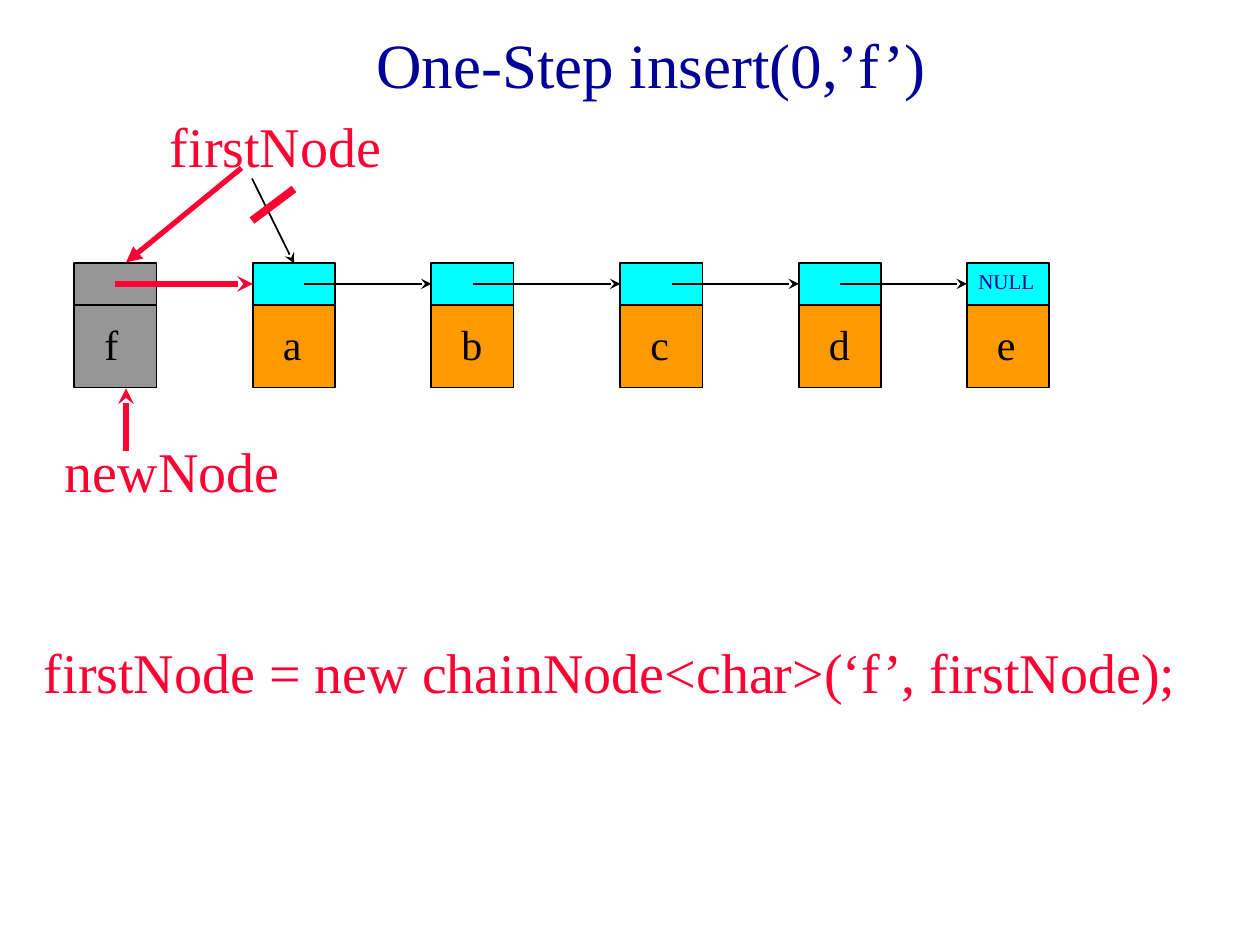
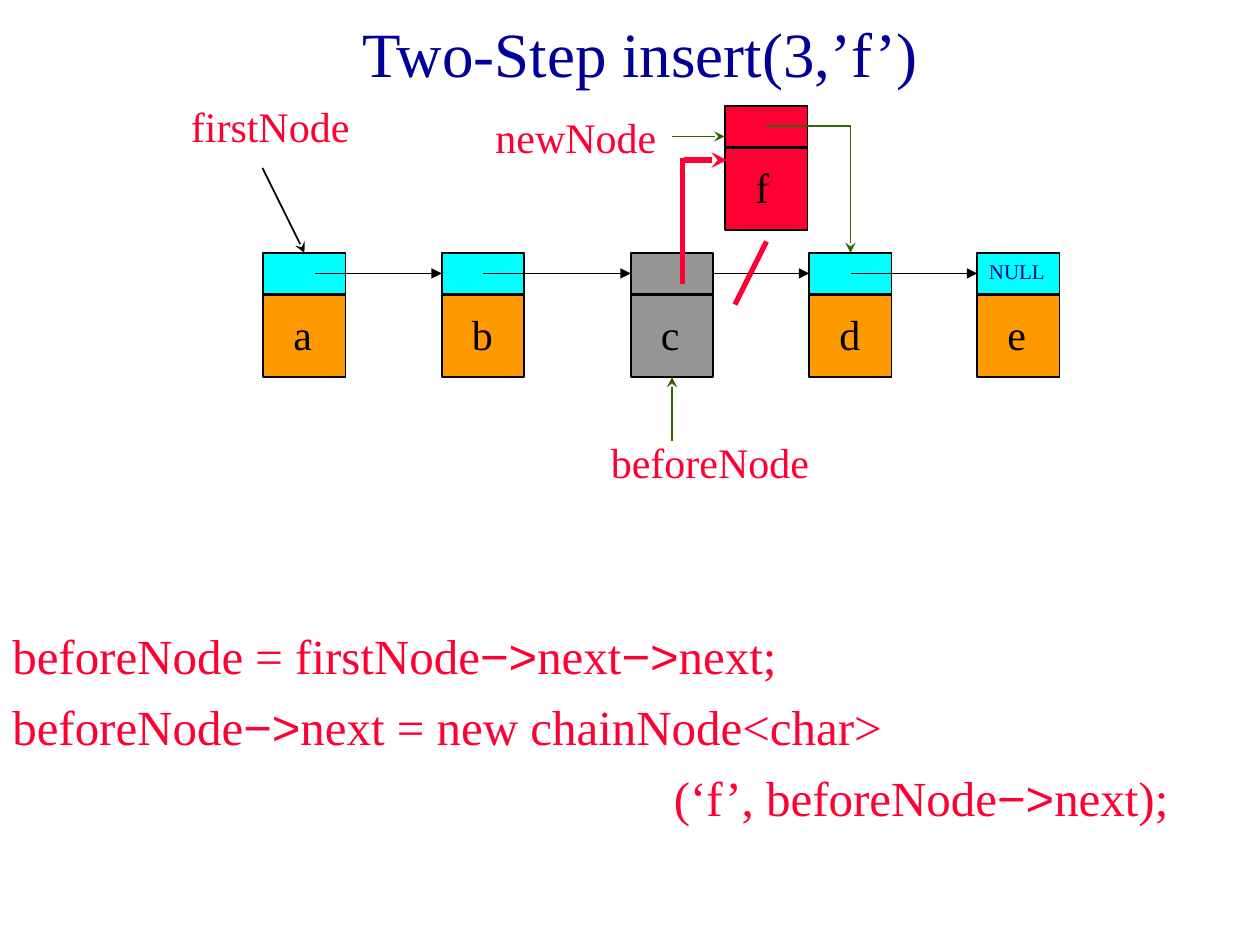
from typing import NamedTuple, Optional, Union

from lxml.etree import SubElement
from pptx import Presentation
from pptx.dml.color import RGBColor
from pptx.enum.shapes import MSO_CONNECTOR as CXN, MSO_SHAPE as SHAPE
from pptx.enum.text import MSO_ANCHOR as ANCHOR, PP_ALIGN as ALIGN
from pptx.oxml.ns import qn
from pptx.shapes.autoshape import Shape
from pptx.slide import Slide
from pptx.util import Pt

NAVY, RED, GREEN, BLACK = "000099", "FF0033", "336600", "000000"
CYAN, ORANGE, GRAY = "00FFFF", "FF9900", "969696"
SERIF, SANS = "Times New Roman", "Arial"
ARROW = "−>"
TOP, LEFT, BOTTOM, RIGHT = range(4)
SIDE, LINK_H, DATA_DY = 47, 23.5, 24
CHAIN_DX = {"a": 0, "b": 102, "c": 210, "d": 312, "e": 408}
LINK_START_DX = {"f": 23.5, "a": 29.5, "b": 23.5, "c": 29.5, "d": 23.5}


class Point(NamedTuple):
    x: float
    y: float


class Site(NamedTuple):
    shape: Shape
    side: int


class Node(NamedTuple):
    name: str
    x: float
    y: float
    link: Shape
    data: Shape

    def link_start(self) -> Point:
        return Point(self.x + LINK_START_DX[self.name], self.y + LINK_H / 2)


End = Union[Point, Site]


def rgb(color: str) -> RGBColor:
    return RGBColor.from_string(color)


def add_text(s: Slide, text: str, x: float, y: float, w: float, h: float, *,
             size: float = 24, color: str = RED, align: ALIGN = ALIGN.LEFT,
             anchor: ANCHOR = ANCHOR.TOP, before: float = 0,
             last_indent: float = 0) -> None:
    tf = s.shapes.add_textbox(Pt(x), Pt(y), Pt(w), Pt(h)).text_frame
    tf.word_wrap = True
    tf.vertical_anchor = anchor
    for i, row in enumerate(text.split("\n")):
        p = tf.paragraphs[0] if i == 0 else tf.add_paragraph()
        p.alignment = align
        p.space_before = Pt(before if i else 0)
        for j, part in enumerate(row.split(ARROW)):
            for piece, font in ((ARROW, SANS), (part, SERIF))[0 if j else 1:]:
                r = p.add_run()
                r.text = piece
                r.font.name = font
                r.font.size = Pt(size)
                r.font.color.rgb = rgb(color)
    if last_indent:
        p._p.get_or_add_pPr().set("marL", str(Pt(last_indent)))


def add_title(s: Slide, text: str, x: float, h: float) -> None:
    add_text(s, text, x, 0, 612, h, size=36, color=NAVY,
             align=ALIGN.CENTER, anchor=ANCHOR.MIDDLE)


def add_box(s: Slide, x: float, y: float, h: float, fill: str) -> Shape:
    sp = s.shapes.add_shape(SHAPE.RECTANGLE, Pt(x), Pt(y), Pt(SIDE), Pt(h))
    sp.shadow.inherit = False
    sp.fill.solid()
    sp.fill.fore_color.rgb = rgb(fill)
    sp.line.color.rgb = rgb(BLACK)
    sp.line.width = Pt(1)
    return sp


def add_node(s: Slide, name: str, x: float, y: float,
             data_fill: str = ORANGE, link_fill: str = CYAN) -> Node:
    data = add_box(s, x, y + DATA_DY, SIDE, data_fill)
    link = add_box(s, x, y, LINK_H, link_fill)
    add_text(s, name, x + 10, y + 28, 27, 36, color=BLACK)
    return Node(name, x, y, link, data)


def add_line(s: Slide, begin: End, end: End, color: str = BLACK,
             width: float = 1, head: Optional[str] = None) -> None:
    start = begin if isinstance(begin, Point) else Point(0, 0)
    stop = end if isinstance(end, Point) else start
    c = s.shapes.add_connector(CXN.STRAIGHT, Pt(start.x), Pt(start.y),
                               Pt(stop.x), Pt(stop.y))
    if isinstance(begin, Site):
        c.begin_connect(begin.shape, begin.side)
    if isinstance(end, Site):
        c.end_connect(end.shape, end.side)
    c.line.color.rgb = rgb(color)
    c.line.width = Pt(width)
    if head:
        SubElement(c.line._get_or_add_ln(), qn("a:tailEnd"), type=head)
    SubElement(c._element.spPr, qn("a:effectLst"))


def add_chain(s: Slide, x: float, y: float, head: str,
              before: Optional[str] = None) -> dict[str, Node]:
    nodes = {}
    for name, dx in CHAIN_DX.items():
        fills = (GRAY, GRAY) if name == before else (ORANGE, CYAN)
        nodes[name] = add_node(s, name, x + dx, y, *fills)
    chain = list(nodes.values())
    for node, following in zip(chain, chain[1:]):
        begin = Site(node.link, RIGHT) if node.name == before else node.link_start()
        add_line(s, begin, Site(following.link, LEFT), head=head)
    add_text(s, "NULL", chain[-1].x - 0.5, y - 0.5, 48, 21.5, size=12, color=NAVY)
    return nodes


def build_one_step(s: Slide) -> None:
    add_title(s, "One-Step insert(0,’f’)", 66, 72)
    nodes = add_chain(s, 144.5, 150.5, "stealth")
    first = Site(nodes["a"].link, TOP)
    add_text(s, "firstNode", 90, 60, 144, 45, size=32)
    add_line(s, Point(144, 102), first, head="stealth")

    new = add_node(s, "f", 42.5, 150.5, GRAY, GRAY)
    add_line(s, new.link_start(), Site(nodes["a"].link, LEFT), RED, 3, "stealth")
    add_text(s, "newNode", 30, 246, 144, 45, size=32)
    add_line(s, Point(72, 258), Point(72, 222), RED, 3, "stealth")
    add_line(s, Point(168, 108), Point(144, 126), RED, 4.5)
    add_line(s, Point(138, 96), Point(72, 150), RED, 3, "triangle")
    add_text(s, "firstNode = new chainNode<char>(‘f’, firstNode);",
             18, 361, 684, 101, size=32)


def build_two_step(s: Slide) -> None:
    add_title(s, "Two-Step insert(3,’f’)", 60, 60)
    add_text(s, "beforeNode = firstNode−>next−>next;\n"
                "beforeNode−>next = new chainNode<char>\n"
                "(‘f’, beforeNode−>next);",
             0, 354, 720, 163, size=28, before=7, last_indent=378)
    nodes = add_chain(s, 150.5, 144.5, "triangle", before="c")
    add_text(s, "firstNode", 102, 54, 132, 36)
    add_line(s, Point(150, 96), Site(nodes["a"].link, TOP), head="stealth")

    add_node(s, "f", 414.5, 60.5, RED, RED)
    corner = Point(486, 72)
    add_line(s, Point(438, 72), corner, GREEN)
    add_line(s, corner, Site(nodes["d"].link, TOP), GREEN, head="stealth")
    add_text(s, "newNode", 276, 60, 120, 36)
    add_line(s, Point(384, 78), Point(414, 78), GREEN, head="stealth")
    add_line(s, Point(438, 138), Point(420, 174), RED, 3)
    add_text(s, "beforeNode", 342, 246, 144, 36)
    add_line(s, Point(384, 252), Site(nodes["c"].data, BOTTOM), GREEN, head="stealth")
    add_line(s, Point(390, 162), Point(390, 90), RED, 3)
    add_line(s, Point(391, 91.5), Point(415.5, 91.5), RED, 3, "stealth")


def main() -> None:
    prs = Presentation()
    prs.slide_width, prs.slide_height = Pt(720), Pt(540)
    for build in (build_one_step, build_two_step):
        build(prs.slides.add_slide(prs.slide_layouts[6]))
    prs.save("out.pptx")


if __name__ == "__main__":
    main()
